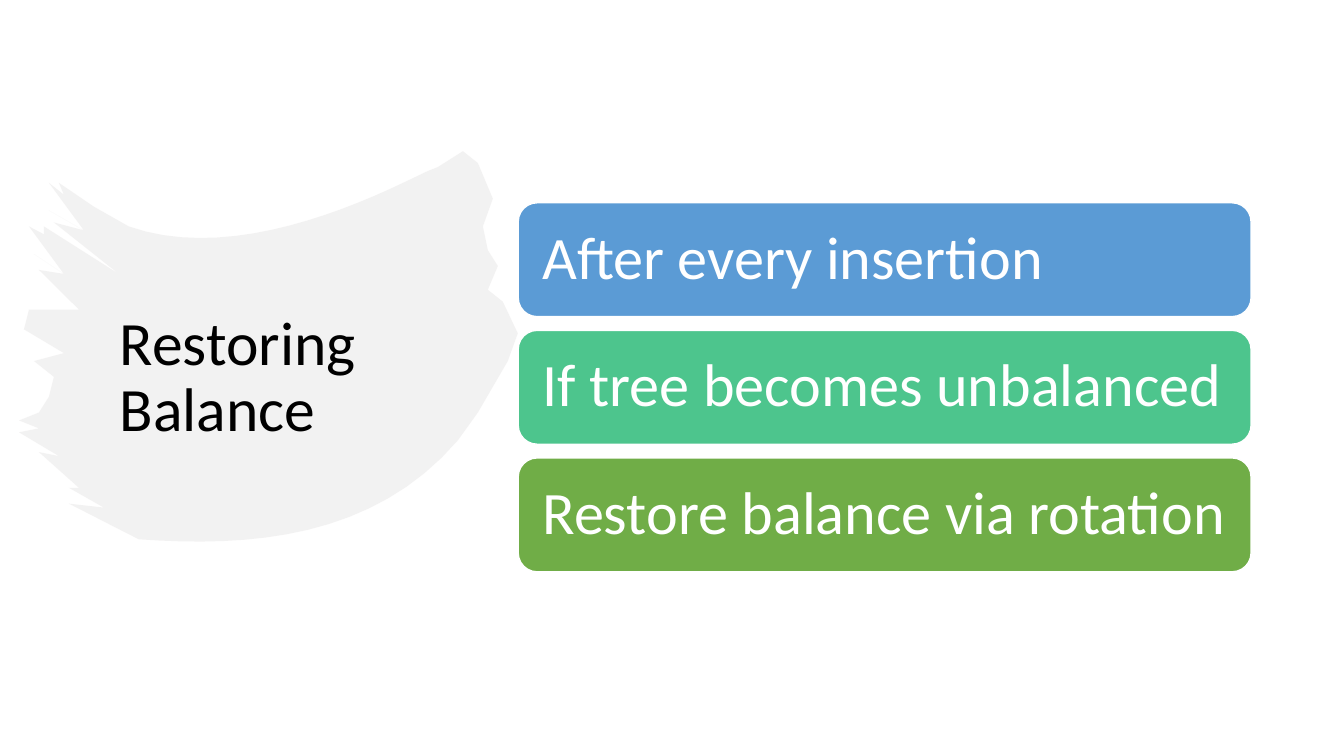
from lxml import etree
from pptx import Presentation
from pptx import util as u
from pptx.dml.color import RGBColor
from pptx.enum import shapes, text
from pptx.oxml.ns import qn

FONT = "Calibri"
BLACK = RGBColor(0x00, 0x00, 0x00)
WHITE = RGBColor(0xFF, 0xFF, 0xFF)
BRUSH_GREY = RGBColor(0xE7, 0xE6, 0xE6)
BLUE = RGBColor(0x5B, 0x9B, 0xD5)
TEAL = RGBColor(0x4D, 0xC5, 0x8D)
GREEN = RGBColor(0x70, 0xAD, 0x47)

STEPS = [
    ("After every insertion", BLUE),
    ("If tree becomes unbalanced", TEAL),
    ("Restore balance via rotation", GREEN),
]

# Brush edges in hundredths of the brush box, clockwise from the top right tip
RIGHT_EDGE = [
    (89, 0), (92, 3), (95, 12), (93, 19), (94, 25), (96, 29), (94, 35),
    (97, 38), (100, 46), (98, 53), (92, 66), (88, 73),
]
LOWER_SWEEP = [(88, 73), (71, 98), (46, 100), (24, 98)]
# Each bristle runs out to its tip, then back to the notch beside it
BRISTLES = [
    ((10, 89), (17, 90)), ((10, 85), (12, 85)), ((4, 76), (8, 77)),
    ((0, 71), (4, 70)), ((0, 68), (4, 66)), ((6, 62), (7, 57)),
    ((3, 53), (9, 51)), ((1, 45), (2, 40)), ((12, 40), (8, 35)),
    ((4, 30), (9, 31)), ((3, 26), (9, 31)), ((2, 19), (5, 21)),
    ((5, 19), (20, 31)), ((7, 18), (13, 20)), ((6, 15), (13, 20)),
    ((6, 8), (9, 11)), ((8, 8), (15, 14)),
]
UPPER_SWEEP = [(22, 19), (40, 27), (62, 17), (77, 8)]
TOP_TIP = [(82, 5), (84, 4)]


def curve(start, control_1, control_2, end, pieces=16):
    """Return points along a cubic curve, both ends included."""
    points = []
    for i in range(pieces + 1):
        t = i / pieces
        weights = ((1 - t) ** 3, 3 * t * (1 - t) ** 2, 3 * t * t * (1 - t), t ** 3)
        corners = (start, control_1, control_2, end)
        points.append(tuple(sum(w * c[axis] for w, c in zip(weights, corners))
                            for axis in (0, 1)))
    return points


def style_text(text_frame, wording, size, color):
    text_frame.text = wording
    text_frame.word_wrap = True
    text_frame.vertical_anchor = text.MSO_ANCHOR.MIDDLE
    paragraph = text_frame.paragraphs[0]
    paragraph.alignment = text.PP_ALIGN.LEFT
    paragraph.line_spacing = 0.9
    font = paragraph.runs[0].font
    font.name, font.size, font.color.rgb = FONT, u.Pt(size), color


def add_brush(slide, left, top, width, height):
    """Half-transparent brush stroke filling the given box."""
    bristle_points = [point for bristle in BRISTLES for point in bristle]
    outline = (RIGHT_EDGE + curve(*LOWER_SWEEP) + bristle_points
               + curve(*UPPER_SWEEP) + TOP_TIP)
    points = [(x * width / 100, y * height / 100) for x, y in outline]
    builder = slide.shapes.build_freeform(*points[0])
    builder.add_line_segments(points[1:], close=True)
    brush = builder.convert_to_shape(left, top)
    brush.shadow.inherit = False
    brush.line.fill.background()
    brush.fill.solid()
    brush.fill.fore_color.rgb = BRUSH_GREY
    color = brush.element.spPr.find(".//" + qn("a:srgbClr"))
    etree.SubElement(color, qn("a:alpha")).set("val", "50000")


def add_title(slide, left, top, width, height):
    title = slide.shapes.add_textbox(left, top, width, height)
    style_text(title.text_frame, "Restoring Balance", 44, BLACK)


def add_steps(slide, left, top, width, height):
    """Equal rounded bars stacked in the given box."""
    bar_height = u.Cm(2.87)
    pitch = (height - bar_height) // (len(STEPS) - 1)
    for i, (wording, color) in enumerate(STEPS):
        bar = slide.shapes.add_shape(shapes.MSO_SHAPE.ROUNDED_RECTANGLE,
                                     left, top + i * pitch, width, bar_height)
        bar.shadow.inherit = False
        bar.fill.solid()
        bar.fill.fore_color.rgb = color
        bar.line.color.rgb = WHITE
        bar.line.width = u.Pt(1)
        # The rounded corners add to the left margin
        bar.text_frame.margin_left = u.Cm(0.47)
        bar.text_frame.margin_right = u.Cm(0.2)
        style_text(bar.text_frame, wording, 43, WHITE)


def main():
    presentation = Presentation()
    presentation.slide_width = u.Cm(33.87)
    presentation.slide_height = u.Cm(19.05)
    slide = presentation.slides.add_slide(presentation.slide_layouts[6])
    add_brush(slide, u.Cm(0.48), u.Cm(3.81), u.Cm(12.57), u.Cm(9.98))
    add_title(slide, u.Cm(2.77), u.Cm(1.9), u.Cm(9.7), u.Cm(15.27))
    add_steps(slide, u.Cm(13.06), u.Cm(5.11), u.Cm(18.47), u.Cm(9.3))
    presentation.save("out.pptx")


if __name__ == "__main__":
    main()
